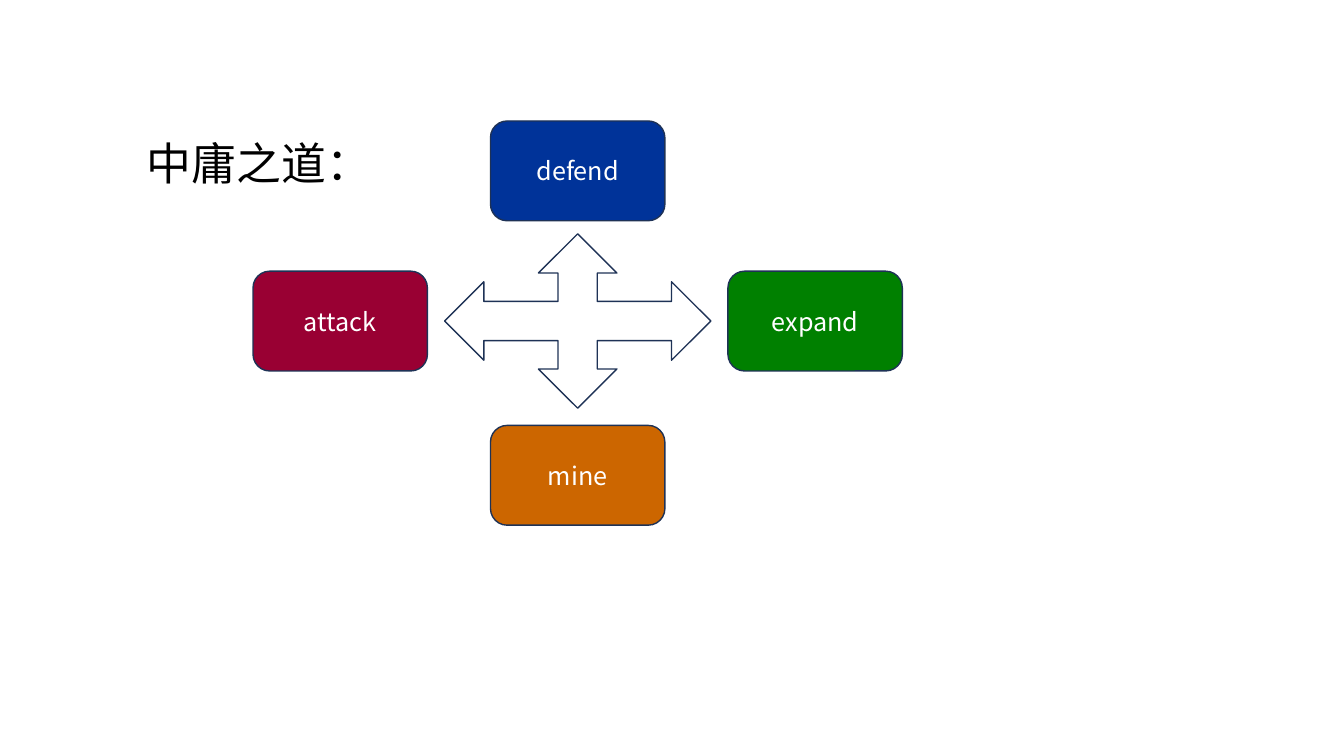
from typing import NamedTuple

from lxml.etree import SubElement
from pptx import Presentation
from pptx.dml.color import RGBColor
from pptx.enum.shapes import MSO_SHAPE
from pptx.enum.text import MSO_ANCHOR, MSO_AUTO_SIZE, PP_ALIGN
from pptx.oxml.ns import qn
from pptx.util import Inches, Pt

FONT = "Noto Sans CJK SC"
OUTLINE = "1E3256"
WHITE = "FFFFFF"


class Box(NamedTuple):
    """Left, top, width and height in inches."""
    left: float
    top: float
    width: float
    height: float

    def lengths(self):
        """Return the four measures as lengths."""
        return [Inches(value) for value in self]


def color(hex_text):
    """Turn a hex string into a colour."""
    return RGBColor.from_string(hex_text)


def write(frame, text, size, hex_text):
    """Put one centred run of text into a frame."""
    para = frame.paragraphs[0]
    para.alignment = PP_ALIGN.CENTER
    span = para.add_run()
    span.text = text
    span.font.size = Pt(size)
    span.font.name = FONT
    span.font.color.rgb = color(hex_text)
    SubElement(span.font._element, qn("a:ea"), typeface=FONT)


def add_outlined(page, kind, box, fill):
    """Add a filled preset shape with the thin dark outline."""
    shape = page.shapes.add_shape(kind, *box.lengths())
    shape.shadow.inherit = False
    shape.fill.solid()
    shape.fill.fore_color.rgb = color(fill)
    shape.line.color.rgb = color(OUTLINE)
    shape.line.width = Pt(1)
    return shape


def add_heading(page, box):
    """Add the heading beside the diagram."""
    frame = page.shapes.add_textbox(*box.lengths()).text_frame
    frame.word_wrap = True
    frame.auto_size = MSO_AUTO_SIZE.SHAPE_TO_FIT_TEXT
    write(frame, "中庸之道：", 32, "000000")


def add_strategy_cross(page, box):
    """Add four strategies around a four-way arrow."""
    card_width, card_height = 1.73, 0.99
    center = (box.width - card_width) / 2
    right = box.width - card_width
    middle = 1.49
    bottom = box.height - card_height
    strategies = [
        ("attack", "990033", 0, middle),
        ("defend", "003399", center, 0),
        ("expand", "008000", right, middle),
        ("mine", "CC6600", center, bottom),
    ]
    for name, fill, left, top in strategies:
        place = Box(box.left + left, box.top + top, card_width, card_height)
        card = add_outlined(page, MSO_SHAPE.ROUNDED_RECTANGLE, place, fill)
        card.text_frame.vertical_anchor = MSO_ANCHOR.MIDDLE
        write(card.text_frame, name, 18, WHITE)

    arrow_width, arrow_height = 2.64, 1.73
    arrow = Box(box.left + (box.width - arrow_width) / 2,
                box.top + middle + (card_height - arrow_height) / 2,
                arrow_width, arrow_height)
    add_outlined(page, MSO_SHAPE.QUAD_ARROW, arrow, WHITE)


def build_deck():
    """Build and save the one-page deck."""
    deck = Presentation()
    deck.slide_width, deck.slide_height = Inches(13.33), Inches(7.5)
    page = deck.slides.add_slide(deck.slide_layouts[6])
    add_heading(page, Box(1.22, 1.3, 2.7, 0.64))
    add_strategy_cross(page, Box(2.51, 1.2, 6.44, 4.01))
    deck.save("out.pptx")


build_deck()
